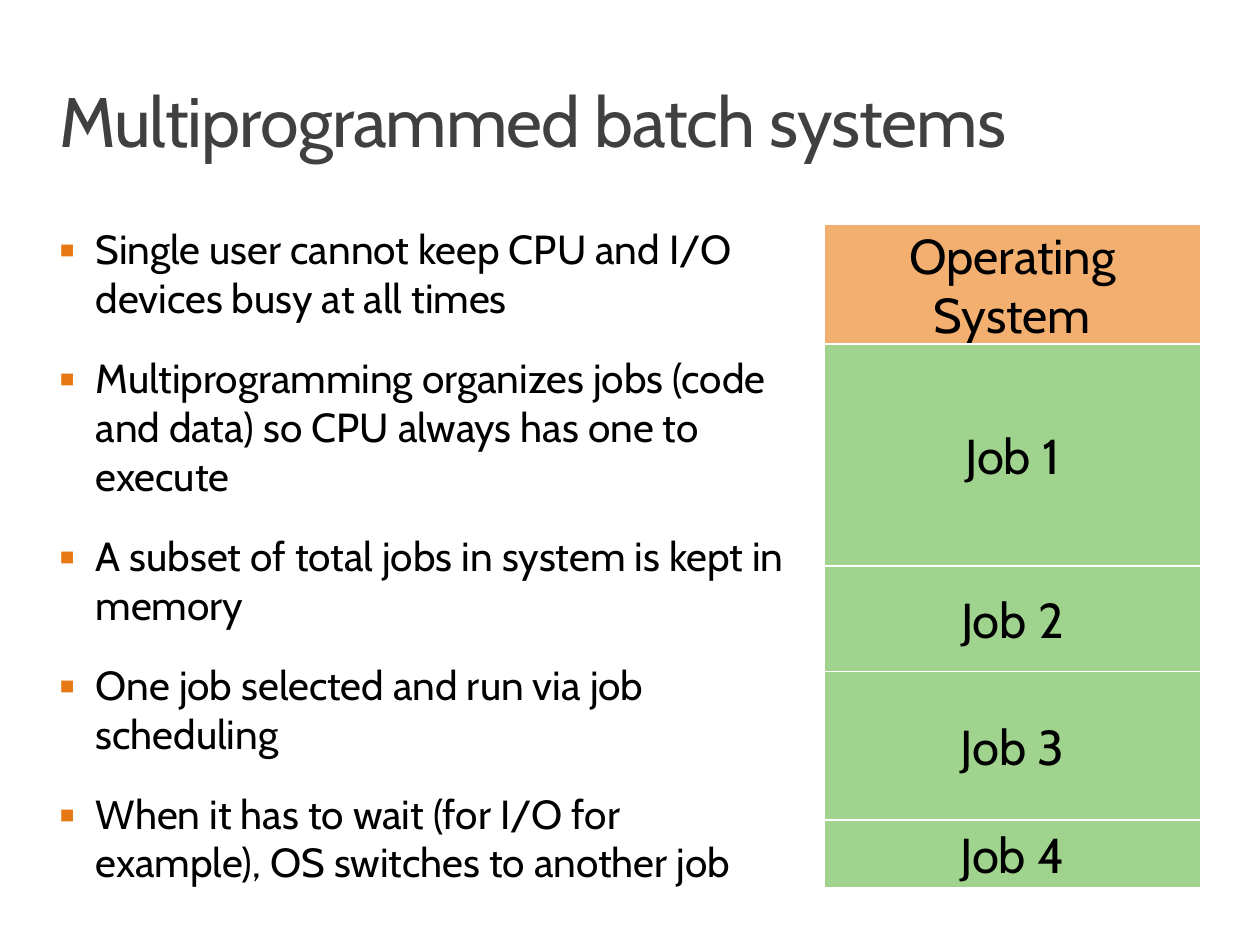
from collections import namedtuple
from itertools import accumulate

from lxml import etree
from pptx import Presentation
from pptx import util as u
from pptx.dml.color import RGBColor
from pptx.enum import shapes, text
from pptx.oxml import ns

Box = namedtuple("Box", "left top width height")

COLORS = {
    "title": "404040",
    "ink": "000000",
    "bullet": "E67914",
    "system": "F3AF6F",
    "job": "A0D48E",
    "border": "FFFFFF",
}
FONT = "Cabin"
TITLE = "Multiprogrammed batch systems"
POINTS = [
    "Single user cannot keep CPU and I/O devices busy at all times",
    "Multiprogramming organizes jobs (code and data) so CPU always has one to execute",
    "A subset of total jobs in system is kept in memory",
    "One job selected and run via job scheduling",
    "When it has to wait (for I/O for example), OS switches to another job",
]
MEMORY = [
    ("Operating System", 95, "system"),
    ("Job 1", 176, "job"),
    ("Job 2", 84, "job"),
    ("Job 3", 118, "job"),
    ("Job 4", 54, "job"),
]
BARE_FRAME = {
    "word_wrap": True,
    "margin_left": 0,
    "margin_right": 0,
    "margin_top": 0,
    "margin_bottom": 0,
    "vertical_anchor": text.MSO_ANCHOR.TOP,
}


def apply(target, values):
    for name, value in values.items():
        setattr(target, name, value)


def inches(box):
    return [u.Inches(length) for length in box]


def write(paragraph, words, size, color):
    run = paragraph.add_run()
    run.text = words
    apply(run.font, {"name": FONT, "size": u.Pt(size)})
    run.font.color.rgb = RGBColor.from_string(COLORS[color])
    return run


def add_bullet(paragraph, indent):
    properties = paragraph._p.get_or_add_pPr()
    properties.set("marL", str(u.Inches(indent)))
    properties.set("indent", str(-u.Inches(indent)))
    tint = etree.SubElement(properties, ns.qn("a:buClr"))
    etree.SubElement(tint, ns.qn("a:srgbClr"), val=COLORS["bullet"])
    etree.SubElement(properties, ns.qn("a:buFont"), typeface=FONT)
    etree.SubElement(properties, ns.qn("a:buChar"), char="▪")


def add_title(slide, box):
    frame = slide.shapes.add_textbox(*inches(box)).text_frame
    apply(frame, {**BARE_FRAME, "margin_top": u.Inches(0.04)})
    heading = frame.paragraphs[0]
    heading.line_spacing = 0.8
    run = write(heading, TITLE, 40, "title")
    run._r.get_or_add_rPr().set("spc", "-50")


def add_points(slide, box):
    frame = slide.shapes.add_textbox(*inches(box)).text_frame
    apply(frame, BARE_FRAME)
    for index, point in enumerate(POINTS):
        paragraph = frame.add_paragraph() if index else frame.paragraphs[0]
        add_bullet(paragraph, 0.29)
        paragraph.space_before = u.Pt(18 if index else 0)
        write(paragraph, point, 23.2, "ink")


def add_memory(slide, box):
    rows = [span for _, span, _ in MEMORY]
    unit = box.height / sum(rows)
    starts = accumulate(rows, initial=0)
    for (label, span, color), start in zip(MEMORY, starts):
        cell = Box(box.left, box.top + start * unit, box.width, span * unit)
        block = slide.shapes.add_shape(shapes.MSO_SHAPE.RECTANGLE, *inches(cell))
        block.shadow.inherit = False
        block.fill.solid()
        block.fill.fore_color.rgb = RGBColor.from_string(COLORS[color])
        block.line.color.rgb = RGBColor.from_string(COLORS["border"])
        block.line.width = u.Pt(1)
        frame = block.text_frame
        apply(frame, {"word_wrap": True, "vertical_anchor": text.MSO_ANCHOR.MIDDLE})
        frame.paragraphs[0].alignment = text.PP_ALIGN.CENTER
        write(frame.paragraphs[0], label, 28, "ink")


def add_batch_slide(deck, page):
    slide = deck.slides.add_slide(deck.slide_layouts[6])
    margin = 0.47
    content = Box(margin, 1.78, page.width - 2 * margin, 5.27)
    gap = 0.03 * page.width
    memory_width = 0.33 * content.width
    points_width = content.width - memory_width - gap
    memory_left = content.left + points_width + gap
    add_title(slide, Box(margin, 0.7, content.width, 0.89))
    add_points(slide, content._replace(width=points_width))
    add_memory(slide, content._replace(left=memory_left, width=memory_width))


def main():
    page = Box(0, 0, 10, 7.5)
    deck = Presentation()
    apply(deck, {"slide_width": u.Inches(page.width), "slide_height": u.Inches(page.height)})
    add_batch_slide(deck, page)
    deck.save("out.pptx")


if __name__ == "__main__":
    main()
